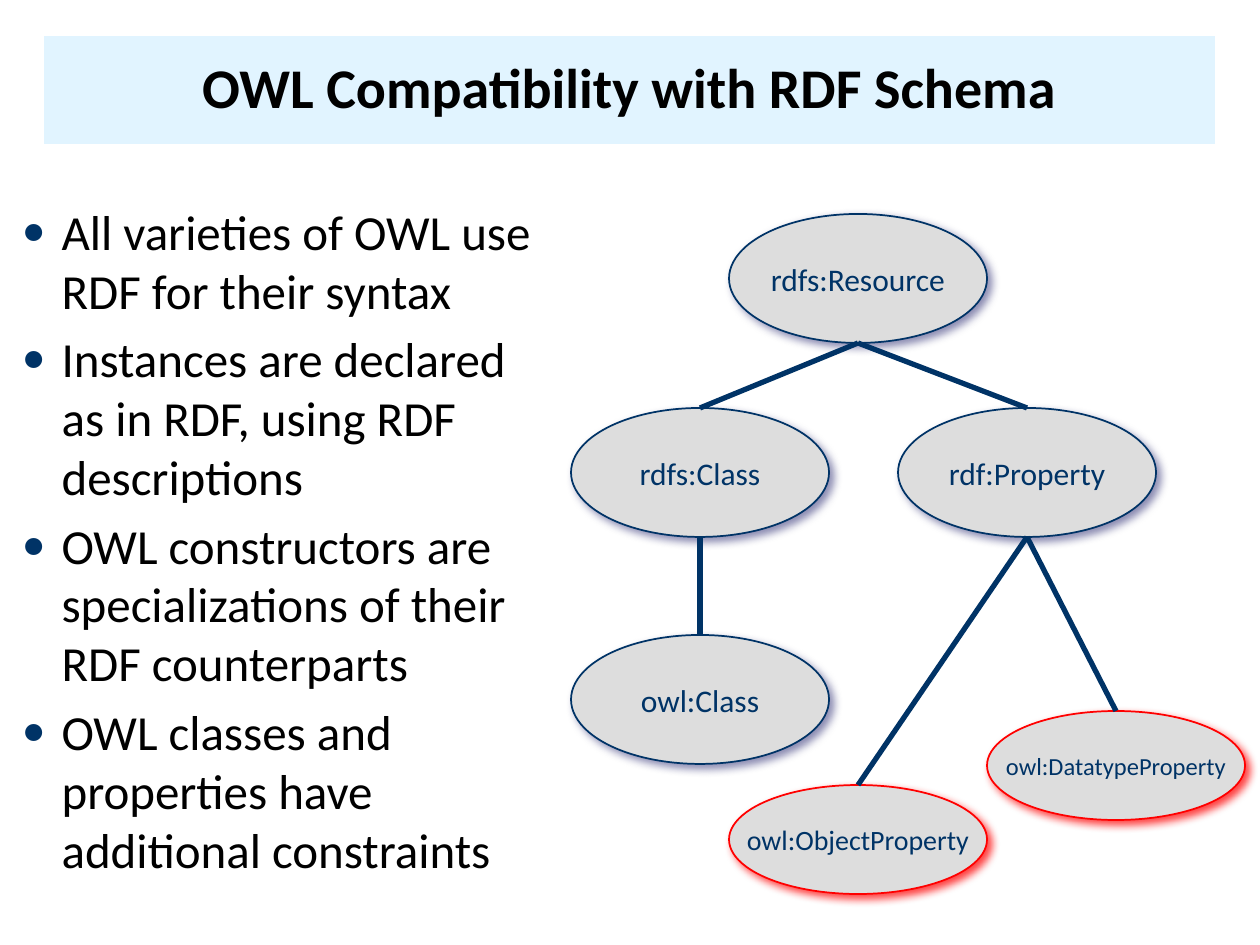
import pptx
import pptx.util
import pptx.dml.color
import pptx.enum.shapes
import pptx.enum.text
import pptx.oxml
import pptx.oxml.ns
from lxml import etree

RGB = pptx.dml.color.RGBColor
NAVY = RGB(0x00, 0x33, 0x66)
BLACK = RGB(0x00, 0x00, 0x00)
RED = RGB(0xFF, 0x00, 0x00)
GREY = RGB(0xDD, 0xDD, 0xDD)
PALE = RGB(0xE1, 0xF4, 0xFF)
HAZE = RGB(0x66, 0x66, 0x99)

FONT = "Calibri"
SCALE = 914400 / 126
NODE_W = 258
TALL, SHORT = 129, 109
LEFT_X, MID_X, RIGHT_X = 700, 858, 1027

POINTS = [
    "All varieties of OWL use RDF for their syntax",
    "Instances are declared as in RDF, using RDF descriptions",
    "OWL constructors are specializations of their RDF counterparts",
    "OWL classes and properties have additional constraints",
]
# name: (centre x, top, height, text size, line colour, shadow colour)
NODES = {
    "rdfs:Resource": (MID_X, 214, TALL, 18, NAVY, HAZE),
    "rdfs:Class": (LEFT_X, 408, TALL, 18, NAVY, HAZE),
    "rdf:Property": (RIGHT_X, 408, TALL, 18, NAVY, HAZE),
    "owl:Class": (LEFT_X, 635, TALL, 18, NAVY, HAZE),
    "owl:ObjectProperty": (MID_X, 785, SHORT, 16, RED, RED),
    "owl:DatatypeProperty": (1116, 711, SHORT, 14, RED, RED),
}
LINKS = [
    ("rdfs:Class", "rdfs:Resource"),
    ("rdf:Property", "rdfs:Resource"),
    ("owl:Class", "rdfs:Class"),
    ("owl:ObjectProperty", "rdf:Property"),
    ("owl:DatatypeProperty", "rdf:Property"),
]


def px(count):
    return pptx.util.Emu(round(count * SCALE))


def place(shape, left, top, width, height):
    shape.left, shape.top = px(left), px(top)
    shape.width, shape.height = px(width), px(height)


def add_run(para, text, size, color, bold=False):
    run = para.add_run()
    run.text = text
    font = run.font
    font.name, font.size, font.bold = FONT, pptx.util.Pt(size), bold
    font.color.rgb = color


def add_bullet(para):
    props = para._p.get_or_add_pPr()
    props.set("marL", str(px(39)))
    props.set("indent", str(-px(39)))
    color = etree.SubElement(props, pptx.oxml.ns.qn("a:buClr"))
    etree.SubElement(color, pptx.oxml.ns.qn("a:srgbClr"), val=str(NAVY))
    etree.SubElement(props, pptx.oxml.ns.qn("a:buSzPct"), val="75000")
    etree.SubElement(props, pptx.oxml.ns.qn("a:buFont"), typeface=FONT)
    etree.SubElement(props, pptx.oxml.ns.qn("a:buChar"), char="●")


def add_shadow(shape, color):
    """Cast a soft shadow to the lower right."""
    shape.shadow.inherit = False
    effects = shape._element.spPr.find(pptx.oxml.ns.qn("a:effectLst"))
    effects.append(pptx.oxml.parse_xml(
        f'<a:outerShdw {pptx.oxml.ns.nsdecls("a")} blurRad="63500" dist="38100" '
        f'dir="2700000" algn="ctr" rotWithShape="0"><a:srgbClr val="{color}">'
        '<a:alpha val="75000"/></a:srgbClr></a:outerShdw>'))


def fill_title(title):
    place(title, 44, 36, 1171, 108)
    title.fill.solid()
    title.fill.fore_color.rgb = PALE
    frame = title.text_frame
    frame.auto_size = pptx.enum.text.MSO_AUTO_SIZE.NONE
    frame.vertical_anchor = pptx.enum.text.MSO_ANCHOR.MIDDLE
    para = frame.paragraphs[0]
    para.alignment = pptx.enum.text.PP_ALIGN.CENTER
    para.line_spacing = 0.9
    add_run(para, "OWL Compatibility with RDF Schema", 32, BLACK, True)


def fill_body(body):
    place(body, 10, 195, 560, 684)
    frame = body.text_frame
    frame.auto_size = pptx.enum.text.MSO_AUTO_SIZE.NONE
    for index, text in enumerate(POINTS):
        para = frame.add_paragraph() if index else frame.paragraphs[0]
        add_bullet(para)
        para.space_before = pptx.util.Pt(5.6 if index else 0)
        add_run(para, text, 28, BLACK)


def add_node(slide, name):
    mid, top, height, size, edge, shade = NODES[name]
    node = slide.shapes.add_shape(
        pptx.enum.shapes.MSO_SHAPE.OVAL,
        px(mid - NODE_W / 2), px(top), px(NODE_W), px(height))
    node.fill.solid()
    node.fill.fore_color.rgb = GREY
    node.line.color.rgb = edge
    node.line.width = pptx.util.Pt(1)
    add_shadow(node, shade)
    frame = node.text_frame
    frame.word_wrap = False
    frame.vertical_anchor = pptx.enum.text.MSO_ANCHOR.MIDDLE
    para = frame.paragraphs[0]
    para.alignment = pptx.enum.text.PP_ALIGN.CENTER
    add_run(para, name, size, NAVY)


def add_link(slide, child, parent):
    """Join the top of the child to the foot of the parent."""
    start, end = NODES[child], NODES[parent]
    link = slide.shapes.add_connector(
        pptx.enum.shapes.MSO_CONNECTOR.STRAIGHT,
        px(start[0]), px(start[1]), px(end[0]), px(end[1] + end[2]))
    link.line.color.rgb = NAVY
    link.line.width = pptx.util.Pt(3)
    etree.SubElement(link._element.spPr, pptx.oxml.ns.qn("a:effectLst"))


def main():
    deck = pptx.Presentation()
    deck.slide_width, deck.slide_height = px(1260), px(945)
    slide = deck.slides.add_slide(deck.slide_layouts[1])
    fill_title(slide.shapes.title)
    fill_body(slide.placeholders[1])
    for name in NODES:
        add_node(slide, name)
    for child, parent in LINKS:
        add_link(slide, child, parent)
    deck.save("out.pptx")


if __name__ == "__main__":
    main()
